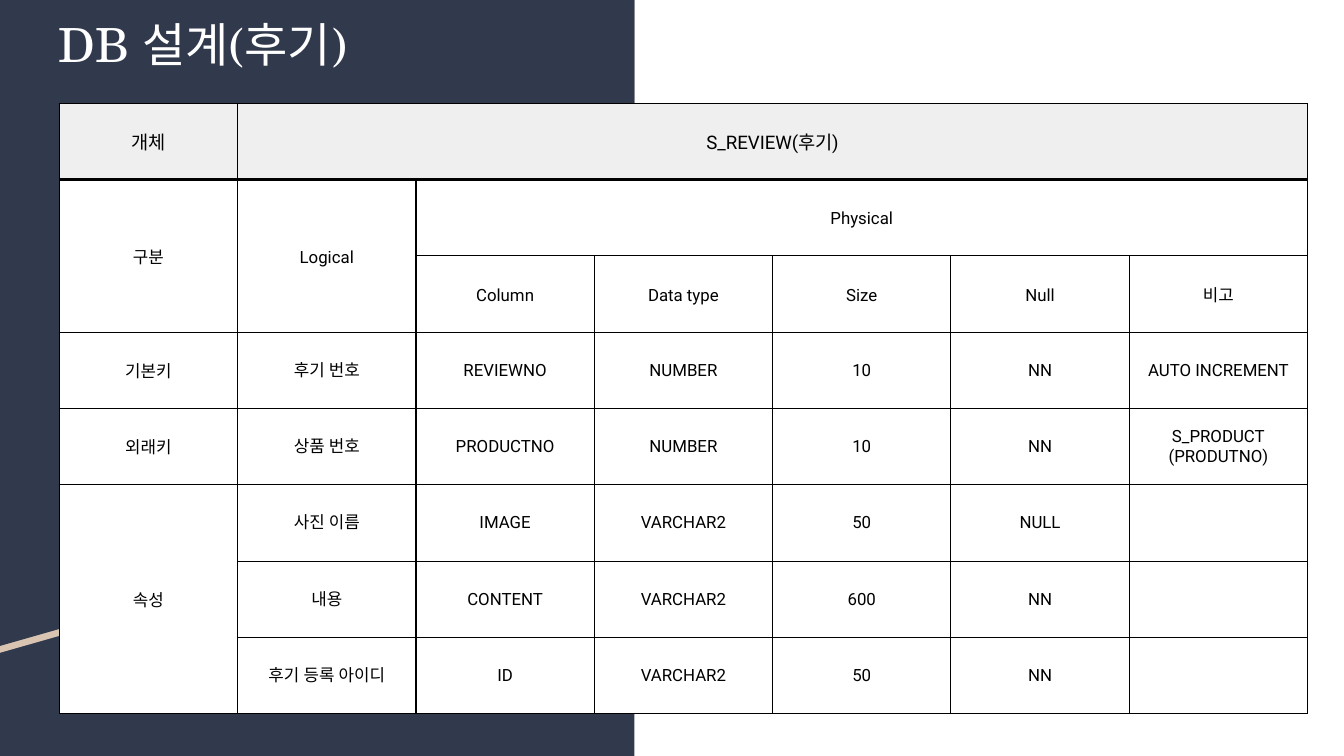
from lxml import etree
from pptx import Presentation
from pptx.dml.color import RGBColor
from pptx.enum.shapes import MSO_SHAPE
from pptx.enum.text import MSO_ANCHOR, PP_ALIGN
from pptx.oxml.ns import qn
from pptx.util import Cm, Pt

RECT = MSO_SHAPE.RECTANGLE
MIDDLE = MSO_ANCHOR.MIDDLE
CENTER = PP_ALIGN.CENTER

NAVY, SAND = "31394D", "D9C4B1"
BLACK, WHITE, GREY = "000000", "FFFFFF", "EFEFEF"
THIN, THICK = 0.75, 1.97
MARGINS = ("margin_left", "margin_top", "margin_right", "margin_bottom")

ROWS = [
    ["개체", "S_REVIEW(후기)", "", "", "", "", ""],
    ["구분", "Logical", "Physical", "", "", "", ""],
    ["", "", "Column", "Data type", "Size", "Null", "비고"],
    ["기본키", "후기 번호", "REVIEWNO", "NUMBER", "10", "NN", "AUTO INCREMENT"],
    ["외래키", "상품 번호", "PRODUCTNO", "NUMBER", "10", "NN", "S_PRODUCT\n(PRODUTNO)"],
    ["속성", "사진 이름", "IMAGE", "VARCHAR2", "50", "NULL", ""],
    ["", "내용", "CONTENT", "VARCHAR2", "600", "NN", ""],
    ["", "후기 등록 아이디", "ID", "VARCHAR2", "50", "NN", ""],
]
MERGES = [((0, 1), (0, 6)), ((1, 0), (2, 0)), ((1, 1), (2, 1)),
          ((1, 2), (1, 6)), ((5, 0), (7, 0))]


def rgb(value):
    """Turn a hex string into a colour."""
    return RGBColor.from_string(value)


def set_all(obj, values):
    """Set the attributes of an object from a dict."""
    for name, value in values.items():
        setattr(obj, name, value)


def paint(sp, color):
    """Give a shape a flat fill without line or shadow."""
    sp.fill.solid()
    sp.fill.fore_color.rgb = rgb(color)
    sp.line.fill.background()
    sp.shadow.inherit = False


def write(tf, text, size, font, color, spacing=None):
    """Write centred paragraphs, one for each line of the text."""
    for i, line in enumerate(text.split("\n")):
        p = tf.add_paragraph() if i else tf.paragraphs[0]
        set_all(p, {"alignment": CENTER, "line_spacing": spacing})
        r = p.add_run()
        r.text = line
        set_all(r.font, {"size": Pt(size), "name": font})
        r.font.color.rgb = rgb(color)
        etree.SubElement(r.font._element, qn("a:ea"), typeface=font)


def add_backdrop(s, x, y, w, h):
    """Draw the navy panel with its slanted sand stripe."""
    paint(s.shapes.add_shape(RECT, Cm(x), Cm(y), Cm(w), Cm(h)), NAVY)
    left, right = 12.21, 8.79
    for drop, color in ((0.13, SAND), (0, NAVY)):
        top = y + drop
        points = [(x + w, top), (x + w, top + right), (x, top + left)]
        fb = s.shapes.build_freeform(Cm(x), Cm(top))
        fb.add_line_segments([(Cm(a), Cm(b)) for a, b in points])
        paint(fb.convert_to_shape(), color)


def add_title(s, x, y, w, h):
    """Place the slide title."""
    tf = s.shapes.add_textbox(Cm(x), Cm(y), Cm(w), Cm(h)).text_frame
    set_all(tf, {"word_wrap": True, "vertical_anchor": MIDDLE})
    set_all(tf, dict.fromkeys(MARGINS, Cm(0.25)))
    write(tf, "DB 설계(후기)", 25.2, "TeX Gyre Schola", WHITE)


def add_borders(cell, top, bottom):
    """Draw the four black borders of a cell."""
    tc_pr = cell._tc.get_or_add_tcPr()
    for side, width in zip("LRTB", (THIN, THIN, top, bottom)):
        ln = etree.SubElement(tc_pr, qn(f"a:ln{side}"), w=str(Pt(width)))
        fill = etree.SubElement(ln, qn("a:solidFill"))
        etree.SubElement(fill, qn("a:srgbClr"), val=BLACK)


def add_schema(s, x, y, w, h):
    """Place the table that describes the review entity."""
    n_rows, n_cols = len(ROWS), len(ROWS[0])
    frame = s.shapes.add_table(n_rows, n_cols, Cm(x), Cm(y), Cm(w), Cm(h))
    table = frame.table
    for col in table.columns:
        col.width = Cm(w / n_cols)
    for row in table.rows:
        row.height = Cm(h / n_rows)
    for start, end in MERGES:
        table.cell(*start).merge(table.cell(*end))
    for i, row in enumerate(ROWS):
        for j, text in enumerate(row):
            cell = table.cell(i, j)
            add_borders(cell, THICK if i == 1 else THIN, THICK if i == 0 else THIN)
            cell.fill.solid()
            cell.fill.fore_color.rgb = rgb(WHITE if i else GREY)
            set_all(cell, dict.fromkeys(MARGINS, Cm(0.05)))
            cell.vertical_anchor = MIDDLE
            if text:
                spacing = 1.15 if i < 3 or j == 0 else None
                write(cell.text_frame, text, 9 if i else 10, "Roboto", BLACK, spacing)


def main():
    """Build the slide and save it."""
    prs = Presentation()
    set_all(prs, {"slide_width": Cm(25.4), "slide_height": Cm(14.29)})
    s = prs.slides.add_slide(prs.slide_layouts[6])
    add_backdrop(s, 0, 0, 11.99, 14.29)
    add_title(s, 0, 0, 7.67, 1.65)
    add_schema(s, 1.12, 1.95, 23.59, 11.55)
    prs.save("out.pptx")


if __name__ == "__main__":
    main()
